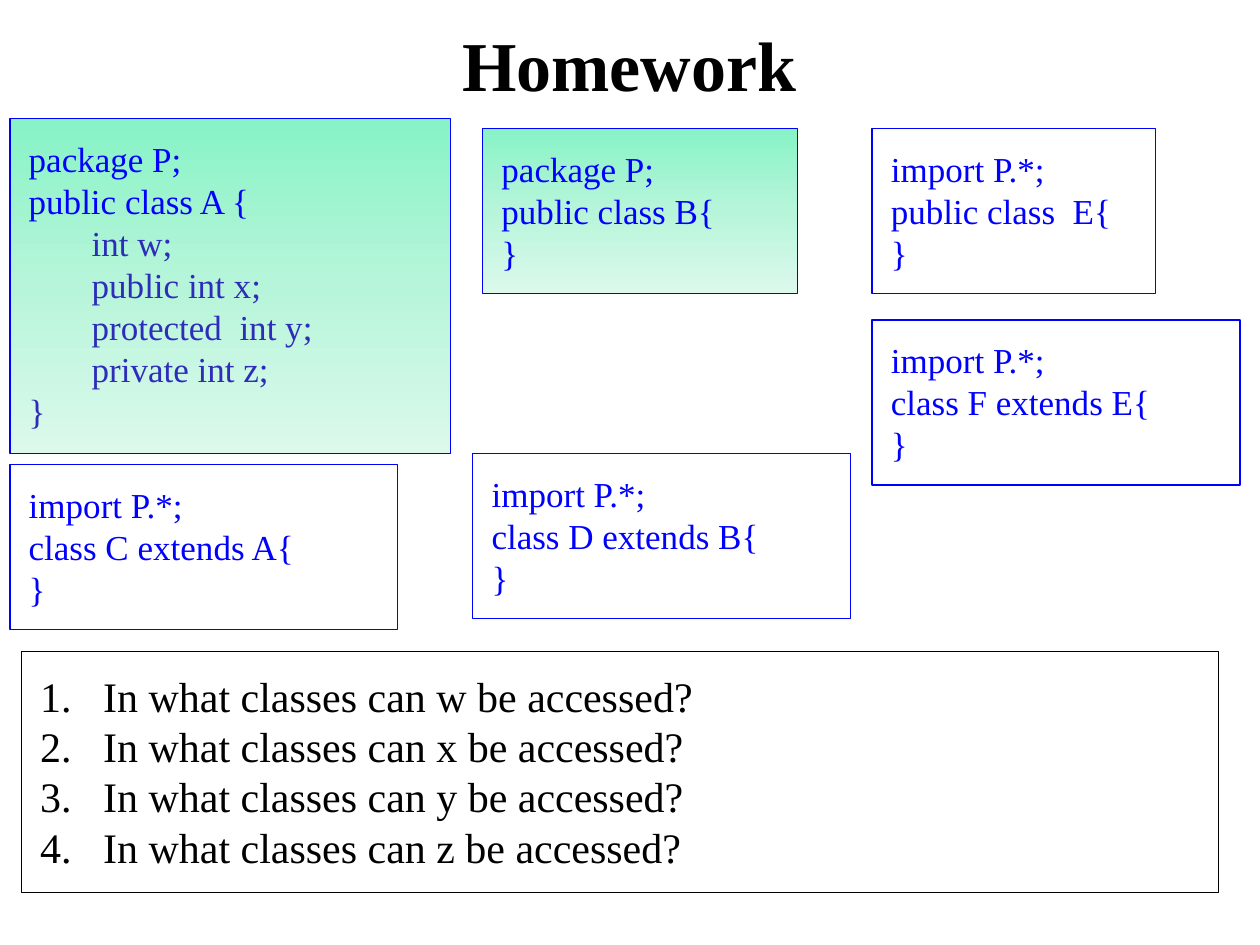
"""Build the Java access modifier homework slide."""
import copy
import dataclasses

import lxml.etree
import pptx
import pptx.dml.color
import pptx.enum.shapes
import pptx.enum.text
import pptx.oxml.ns
import pptx.util

Cm = pptx.util.Cm
qn = pptx.oxml.ns.qn


@dataclasses.dataclass(frozen=True)
class Theme:
    font: str = "Times New Roman"
    title_size: int = 40
    code_size: int = 20
    question_size: int = 24
    ink: str = "000000"
    code: str = "0000FF"
    member: str = "2D2DB9"
    gradient: tuple = ((0, "87F3C6"), (0.5, "B7F5DA"), (1, "DCF9EC"))
    line_width: float = 0.75
    inset: float = 0.38
    line_height: float = 0.0428
    indent: float = 1.27


class Deck:
    def __init__(self, prs, theme):
        self.theme = theme
        self.s = prs.slides.add_slide(prs.slide_layouts[6])

    def style(self, p, size, color, bold=False):
        for r in p.runs:
            r.font.name = self.theme.font
            r.font.size = pptx.util.Pt(size)
            r.font.bold = bold
            r.font.color.rgb = pptx.dml.color.RGBColor.from_string(color)

    def title(self, text, left, top, width, height):
        sp = self.s.shapes.add_textbox(Cm(left), Cm(top), Cm(width), Cm(height))
        tf = sp.text_frame
        tf.word_wrap = True
        tf.vertical_anchor = pptx.enum.text.MSO_ANCHOR.MIDDLE
        tf.text = text
        p = tf.paragraphs[0]
        p.alignment = pptx.enum.text.PP_ALIGN.CENTER
        self.style(p, self.theme.title_size, self.theme.ink, bold=True)

    def shade(self, sp):
        sp.fill.gradient()
        sp.fill.gradient_angle = 270
        last = sp._element.spPr.findall(".//" + qn("a:gs"))[-1]
        last.addnext(copy.deepcopy(last))
        for stop, (position, color) in zip(sp.fill.gradient_stops, self.theme.gradient):
            stop.position = position
            stop.color.rgb = pptx.dml.color.RGBColor.from_string(color)

    def box(self, lines, left, top, width, size, color):
        theme = self.theme
        height = len(lines) * size * theme.line_height + 2 * theme.inset
        sp = self.s.shapes.add_shape(pptx.enum.shapes.MSO_SHAPE.RECTANGLE,
                                     Cm(left), Cm(top), Cm(width), Cm(height))
        sp.shadow.inherit = False
        sp.fill.background()
        sp.line.color.rgb = pptx.dml.color.RGBColor.from_string(color)
        sp.line.width = pptx.util.Pt(theme.line_width)
        tf = sp.text_frame
        tf.word_wrap = True
        tf.vertical_anchor = pptx.enum.text.MSO_ANCHOR.TOP
        tf.margin_left = tf.margin_right = Cm(theme.inset)
        tf.margin_top = tf.margin_bottom = Cm(theme.inset)
        tf.text = "\n".join(lines)
        for p in tf.paragraphs:
            p.alignment = pptx.enum.text.PP_ALIGN.LEFT
            self.style(p, size, color)
        return sp

    def code(self, lines, left, top, width, shaded=False, member_start=None):
        theme = self.theme
        sp = self.box(lines, left, top, width, theme.code_size, theme.code)
        if shaded:
            self.shade(sp)
        if member_start is not None:
            for p in sp.text_frame.paragraphs[member_start:]:
                self.style(p, theme.code_size, theme.member)

    def questions(self, lines, left, top, width):
        theme = self.theme
        sp = self.box(lines, left, top, width, theme.question_size, theme.ink)
        for p in sp.text_frame.paragraphs:
            pPr = p._p.get_or_add_pPr()
            pPr.set("marL", str(Cm(theme.indent)))
            pPr.set("indent", str(-Cm(theme.indent)))
            clr = lxml.etree.SubElement(pPr, qn("a:buClr"))
            lxml.etree.SubElement(clr, qn("a:srgbClr"), val=theme.ink)
            lxml.etree.SubElement(pPr, qn("a:buAutoNum"), type="arabicPeriod")


def main():
    prs = pptx.Presentation()
    prs.slide_width, prs.slide_height = Cm(25.4), Cm(19.05)
    deck = Deck(prs, Theme())
    deck.title("Homework", 1.47, 0.43, 22.43, 1.7)
    deck.code(["package P;", "public class A {", "\tint w;", "\tpublic int x;",
               "\tprotected  int y;", "\tprivate int z;", "}"],
              0.2, 2.39, 8.89, shaded=True, member_start=2)
    deck.code(["package P;", "public class B{", "}"], 9.73, 2.59, 6.35, shaded=True)
    for header, left, top, width in (
        ("class C extends A{", 0.2, 9.37, 7.82),
        ("class D extends B{", 9.53, 9.14, 7.62),
        ("class F extends E{", 17.58, 6.45, 7.42),
        ("public class  E{", 17.58, 2.59, 5.72),
    ):
        deck.code(["import P.*;", header, "}"], left, top, width)
    deck.questions([f"In what classes can {field} be accessed?" for field in "wxyz"],
                   0.43, 13.13, 24.13)
    prs.save("out.pptx")


if __name__ == "__main__":
    main()
